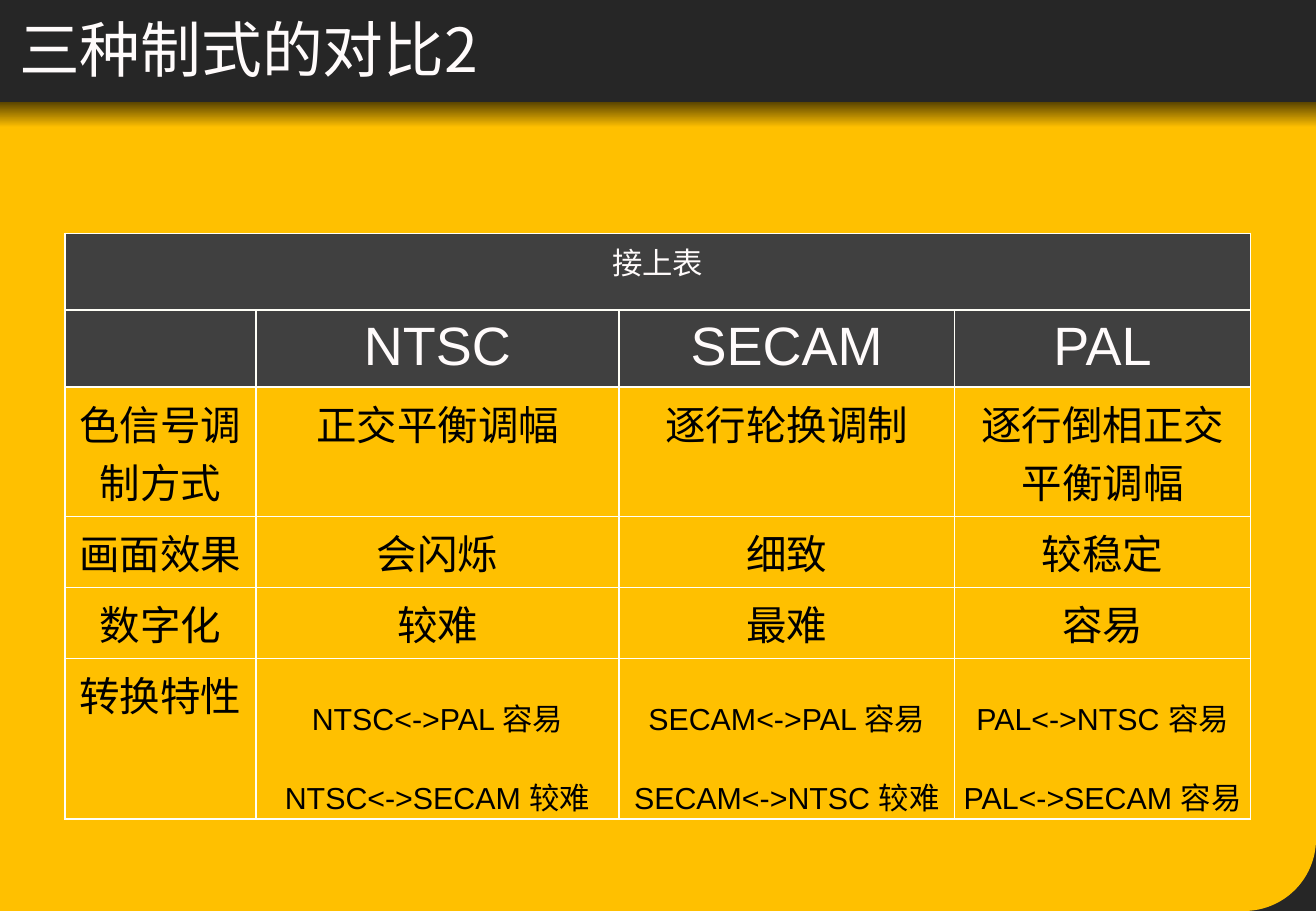
from lxml import etree
from pptx import Presentation
from pptx import util as u
from pptx.dml.color import RGBColor
from pptx.enum import shapes, text
from pptx.oxml.ns import qn

COLORS = {
    "paper": "FFFBFB", "band": "262626", "panel": "FFC000",
    "shade": "5A4400", "head": "404040", "rule": "FFFFF7", "ink": "000000",
}
LATIN, CJK = "Arial", "Noto Sans CJK SC"
COLUMNS = [113.3, 215.3, 198.7, 175.7]
ROWS = [45.4, 45.4, 76.6, 42.1, 42.1, 95.4]
COMPARISON = [
    ["接上表", "", "", ""],
    ["", "NTSC", "SECAM", "PAL"],
    ["色信号调制方式", "正交平衡调幅", "逐行轮换调制", "逐行倒相正交平衡调幅"],
    ["画面效果", "会闪烁", "细致", "较稳定"],
    ["数字化", "较难", "最难", "容易"],
    ["转换特性", "NTSC<->PAL 容易\vNTSC<->SECAM 较难",
     "SECAM<->PAL 容易\vSECAM<->NTSC 较难", "PAL<->NTSC 容易\vPAL<->SECAM 容易"],
]


def rgb(name):
    return RGBColor.from_string(COLORS[name])


def write(frame, words, size, color, latin=LATIN, align=text.PP_ALIGN.CENTER, spacing=None):
    paragraph = frame.paragraphs[0]
    paragraph.text = words
    paragraph.alignment = align
    if spacing:
        paragraph.line_spacing = spacing
    for run in paragraph.runs:
        run.font.size = u.Pt(size)
        run.font.name = latin
        run.font.color.rgb = rgb(color)
        etree.SubElement(run.font._element, qn("a:ea"), typeface=CJK)


def block(slide, box, color, kind=shapes.MSO_SHAPE.RECTANGLE):
    part = slide.shapes.add_shape(kind, *map(u.Pt, box))
    part.shadow.inherit = False
    part.line.fill.background()
    part.fill.solid()
    part.fill.fore_color.rgb = rgb(color)
    return part


def draw_backdrop(slide, box):
    left, top, width, height = box
    block(slide, box, "band")
    panel = block(slide, box, "panel", shapes.MSO_SHAPE.ROUND_1_RECTANGLE)
    panel.adjustments[0] = 0.089
    panel.rotation = 180
    panel._element.spPr.find(qn("a:xfrm")).set("flipH", "1")
    shade = block(slide, (left, top, width, 15), "shade")
    shade.fill.gradient()
    shade.fill.gradient_angle = 270
    for stop, color in zip(shade.fill.gradient_stops, ("shade", "panel")):
        stop.color.rgb = rgb(color)


def draw_header(slide, box):
    left, top, width, height = box
    block(slide, box, "band")
    title = slide.shapes.add_textbox(
        u.Pt(left + 4.3), u.Pt(top - 7.9), u.Pt(width - 78), u.Pt(height + 12.2))
    frame = title.text_frame
    frame.word_wrap = True
    frame.vertical_anchor = text.MSO_ANCHOR.MIDDLE
    write(frame, "三种制式的对比2", 36, "paper", latin=CJK, align=text.PP_ALIGN.LEFT)


def rule_cell(cell):
    properties = cell._tc.get_or_add_tcPr()
    for place, side in enumerate(("lnL", "lnR", "lnT", "lnB")):
        line = etree.Element(qn("a:" + side), w=str(u.Pt(1)))
        fill = etree.SubElement(line, qn("a:solidFill"))
        etree.SubElement(fill, qn("a:srgbClr"), val=COLORS["rule"])
        properties.insert(place, line)


def draw_comparison(slide, box):
    grid = slide.shapes.add_table(len(ROWS), len(COLUMNS), *map(u.Pt, box)).table
    for column, width in zip(grid.columns, COLUMNS):
        column.width = u.Pt(width)
    for row, height in zip(grid.rows, ROWS):
        row.height = u.Pt(height)
    grid.cell(0, 0).merge(grid.cell(0, len(COLUMNS) - 1))
    for r, entries in enumerate(COMPARISON):
        for c, words in enumerate(entries):
            cell = grid.cell(r, c)
            heading = r < 2
            conversion = r == len(ROWS) - 1 and c > 0
            cell.fill.solid()
            cell.fill.fore_color.rgb = rgb("head" if heading else "panel")
            rule_cell(cell)
            if conversion:
                cell.vertical_anchor = text.MSO_ANCHOR.MIDDLE
                cell.margin_left = cell.margin_right = u.Pt(0.75)
                cell.margin_top = cell.margin_bottom = u.Pt(0.75)
            if words:
                size = 18 if r == 0 or conversion else 32 if heading else 24
                write(cell.text_frame, words, size, "paper" if heading else "ink",
                      spacing=1.8 if conversion else None)


def main():
    deck = Presentation()
    deck.slide_width, deck.slide_height = u.Pt(780), u.Pt(540)
    slide = deck.slides.add_slide(deck.slide_layouts[6])
    slide.background.fill.solid()
    slide.background.fill.fore_color.rgb = rgb("paper")
    draw_backdrop(slide, (0, 60.5, 780, 479.5))
    draw_header(slide, (0, 0, 780, 60.5))
    draw_comparison(slide, (38.4, 138.4, sum(COLUMNS), sum(ROWS)))
    deck.save("out.pptx")


if __name__ == "__main__":
    main()
